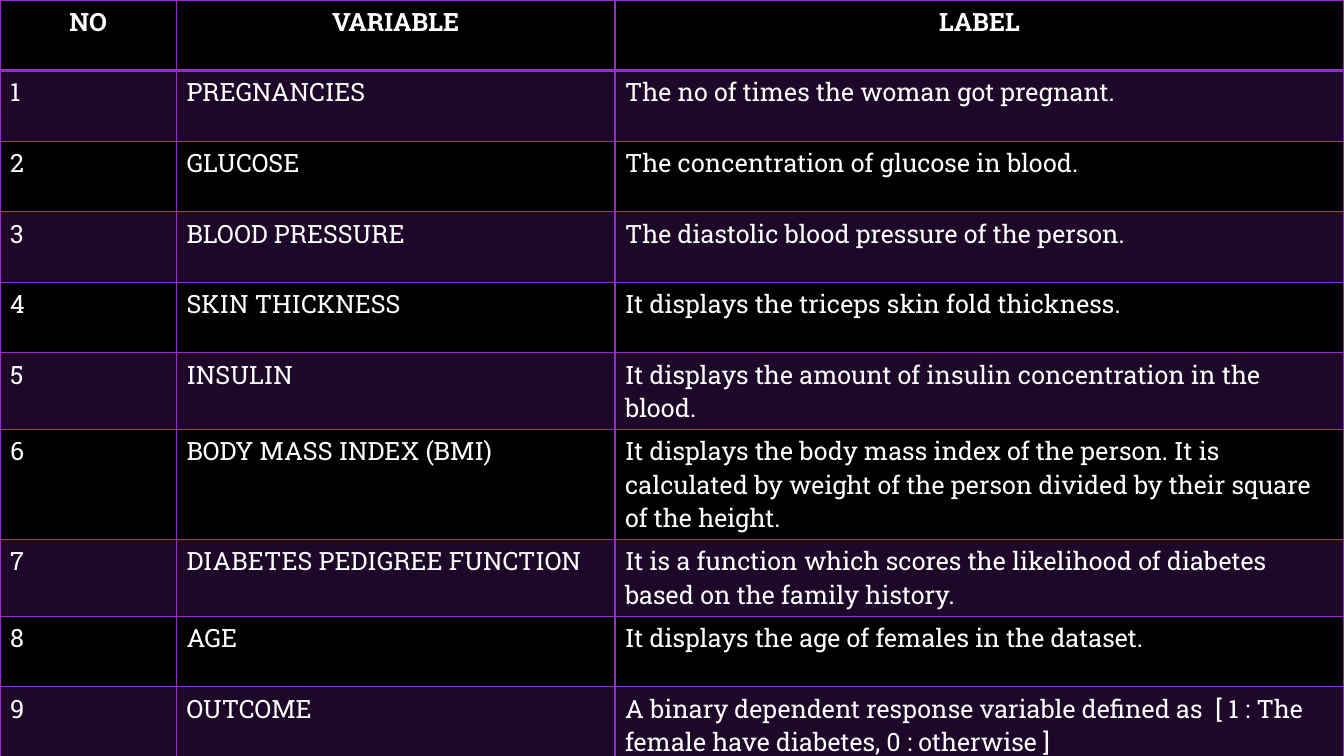
"""Build a slide with a table describing the variables of a diabetes dataset."""
from dataclasses import dataclass

from lxml.etree import SubElement
from pptx import Presentation
from pptx.dml.color import RGBColor
from pptx.enum.text import PP_ALIGN
from pptx.oxml import parse_xml
from pptx.oxml.ns import nsdecls, qn
from pptx.util import Inches, Pt

HEADER = ("NO", "VARIABLE", "LABEL")
VARIABLES = [
    ("PREGNANCIES", "The no of times the woman got pregnant."),
    ("GLUCOSE", "The concentration of glucose in blood."),
    ("BLOOD PRESSURE", "The diastolic blood pressure of the person."),
    ("SKIN THICKNESS", "It displays the triceps skin fold thickness."),
    ("INSULIN", "It displays the amount of insulin concentration in the blood."),
    ("BODY MASS INDEX (BMI)",
     "It displays the body mass index of the person. It is calculated by weight "
     "of the person divided by their square of the height."),
    ("DIABETES PEDIGREE FUNCTION",
     "It is a function which scores the likelihood of diabetes based on the family history."),
    ("AGE", "It displays the age of females in the dataset."),
    ("OUTCOME",
     "A binary dependent response variable defined as  "
     "[ 1 : The female have diabetes, 0 : otherwise ]"),
]
COLUMN_WIDTHS = (1.75, 4.35, 7.23)
ROW_HEIGHTS = (0.7, 0.7, 0.7, 0.7, 0.7, 0.75, 1.07, 0.75, 0.7, 0.75)
SLIDE_SIZE = (Inches(13.33), Inches(7.5))


@dataclass(frozen=True)
class Theme:
    background: str = "000000"
    text: str = "FFFFFF"
    accent: str = "972ACD"
    band_opacity: int = 20
    font: str = "Roboto Slab"
    size: int = 18
    thin: int = 1
    thick: int = 2


THEME = Theme()


def fill_cell(cell, banded):
    """Give a banded cell a translucent accent fill and leave others clear."""
    if not banded:
        cell.fill.background()
        return
    cell.fill.solid()
    cell.fill.fore_color.rgb = RGBColor.from_string(THEME.accent)
    color = cell._tc.tcPr.find(f"{qn('a:solidFill')}/{qn('a:srgbClr')}")
    SubElement(color, qn("a:alpha"), val=str(THEME.band_opacity * 1000))


def draw_borders(cell, top, bottom):
    """Outline a cell, with line widths in points."""
    widths = {"lnL": THEME.thin, "lnR": THEME.thin, "lnT": top, "lnB": bottom}
    for position, (side, width) in enumerate(widths.items()):
        line = parse_xml(
            f'<a:{side} {nsdecls("a")} w="{Pt(width)}"><a:solidFill>'
            f'<a:srgbClr val="{THEME.accent}"/></a:solidFill></a:{side}>')
        cell._tc.get_or_add_tcPr().insert(position, line)


def write_cell(cell, text, is_header):
    """Write the cell text in the theme font."""
    cell.text_frame.text = text
    para = cell.text_frame.paragraphs[0]
    para.alignment = PP_ALIGN.CENTER if is_header else PP_ALIGN.LEFT
    font = para.runs[0].font
    font.name = THEME.font
    font.size = Pt(THEME.size)
    font.bold = is_header
    font.color.rgb = RGBColor.from_string(THEME.text)


def add_variable_table(page):
    """Add the full-slide table of variables."""
    rows = [HEADER] + [(str(number), *entry) for number, entry in enumerate(VARIABLES, 1)]
    table = page.shapes.add_table(len(rows), len(HEADER), 0, 0, *SLIDE_SIZE).table
    table.first_row = table.horz_banding = False
    for column, width in zip(table.columns, COLUMN_WIDTHS):
        column.width = Inches(width)
    for row, height in zip(table.rows, ROW_HEIGHTS):
        row.height = Inches(height)
    for index, texts in enumerate(rows):
        top = THEME.thick if index == 1 else THEME.thin
        bottom = THEME.thick if index == 0 else THEME.thin
        for cell, text in zip(table.rows[index].cells, texts):
            write_cell(cell, text, index == 0)
            fill_cell(cell, index % 2 == 1)
            draw_borders(cell, top, bottom)


def main():
    """Create and save the deck."""
    deck = Presentation()
    deck.slide_width, deck.slide_height = SLIDE_SIZE
    page = deck.slides.add_slide(deck.slide_layouts[6])
    page.background.fill.solid()
    page.background.fill.fore_color.rgb = RGBColor.from_string(THEME.background)
    add_variable_table(page)
    deck.save("out.pptx")


if __name__ == "__main__":
    main()
